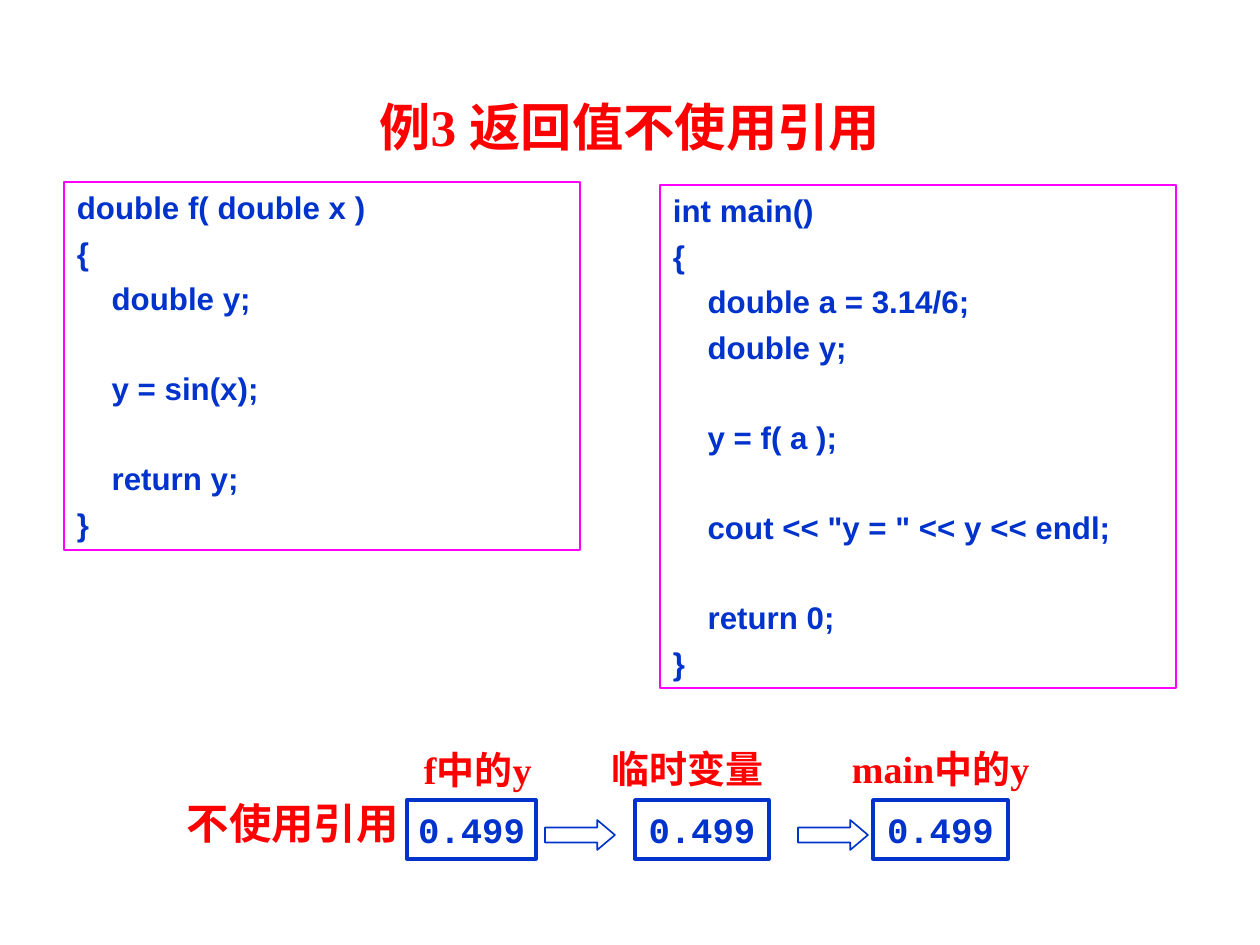
from pptx import Presentation
from pptx import util as u
from pptx.dml.color import RGBColor
from pptx.enum import shapes, text

RED = RGBColor(0xFF, 0x00, 0x00)
BLUE = RGBColor(0x00, 0x33, 0xCC)
MAGENTA = RGBColor(0xFF, 0x00, 0xFF)
PX = 5690  # EMU per px

prs = Presentation()
prs.slide_width, prs.slide_height = 1260 * PX, 945 * PX
s = prs.slides.add_slide(prs.slide_layouts[6])


def outline(kind, box, color, width):
    sp = s.shapes.add_shape(kind, *[v * PX for v in box])
    sp.shadow.inherit = False
    sp.fill.background()
    sp.line.color.rgb = color
    sp.line.width = u.Pt(width)
    return sp


def write(sp, lines, font, size, color, align, anchor):
    tf = sp.text_frame
    tf.word_wrap = True
    tf.vertical_anchor = anchor
    tf.margin_left = tf.margin_right = 13 * PX
    tf.margin_top = tf.margin_bottom = 6 * PX
    for i, (line, before) in enumerate(lines):
        p = tf.paragraphs[0] if i == 0 else tf.add_paragraph()
        p.text = line
        p.alignment = align
        p.space_before = u.Pt(before)
        p.font.name, p.font.size, p.font.bold = font, u.Pt(size), True
        p.font.color.rgb = color


LEFT, CENTER = text.PP_ALIGN.LEFT, text.PP_ALIGN.CENTER
TOP, MIDDLE = text.MSO_ANCHOR.TOP, text.MSO_ANCHOR.MIDDLE

# Title and red labels
for label, box, size, align in [
    ("例3 返回值不使用引用", (42, 89, 1176, 74), 23, CENTER),
    ("不使用引用", (174, 791, 250, 63), 19, LEFT),
    ("f中的y", (411, 748, 170, 43), 17, LEFT),
    ("临时变量", (599, 742, 198, 53), 17, LEFT),
    ("main中的y", (839, 742, 240, 53), 17, LEFT),
]:
    sp = s.shapes.add_textbox(*[v * PX for v in box])
    write(sp, [(label, 0)], "Times New Roman", size, RED, align, MIDDLE)

# Code boxes: GAP is the normal step, SKIP leaves one line free
GAP, SKIP = 3.7, 23.5
for box, lines in [
    ((64, 182, 516, 368), [
        ("double f( double x )", 0),
        ("{", GAP),
        ("    double y;", GAP),
        ("    y = sin(x);", SKIP),
        ("    return y;", SKIP),
        ("}", GAP),
    ]),
    ((660, 185, 516, 503), [
        ("int main()", 0),
        ("{", GAP),
        ("    double a = 3.14/6;", GAP),
        ("    double y;", GAP),
        ("    y = f( a );", SKIP),
        ("    cout << \"y = \" << y << endl;", SKIP),
        ("    return 0;", SKIP),
        ("}", GAP),
    ]),
]:
    sp = outline(shapes.MSO_SHAPE.RECTANGLE, box, MAGENTA, 0.75)
    write(sp, lines, "Arial", 14, BLUE, LEFT, TOP)

# Value cells
for x, width in [(407, 129), (635, 134), (873, 135)]:
    sp = outline(shapes.MSO_SHAPE.RECTANGLE, (x, 800, width, 59), BLUE, 1.5)
    write(sp, [("0.499", 0)], "Courier New", 16, BLUE, CENTER, MIDDLE)
    sp.text_frame.word_wrap = False

# Arrows between the cells
for x in (545, 798):
    sp = outline(shapes.MSO_SHAPE.RIGHT_ARROW, (x, 820, 70, 30), BLUE, 0.75)
    sp.adjustments[0] = 0.5
    sp.adjustments[1] = 0.59

prs.save("out.pptx")
